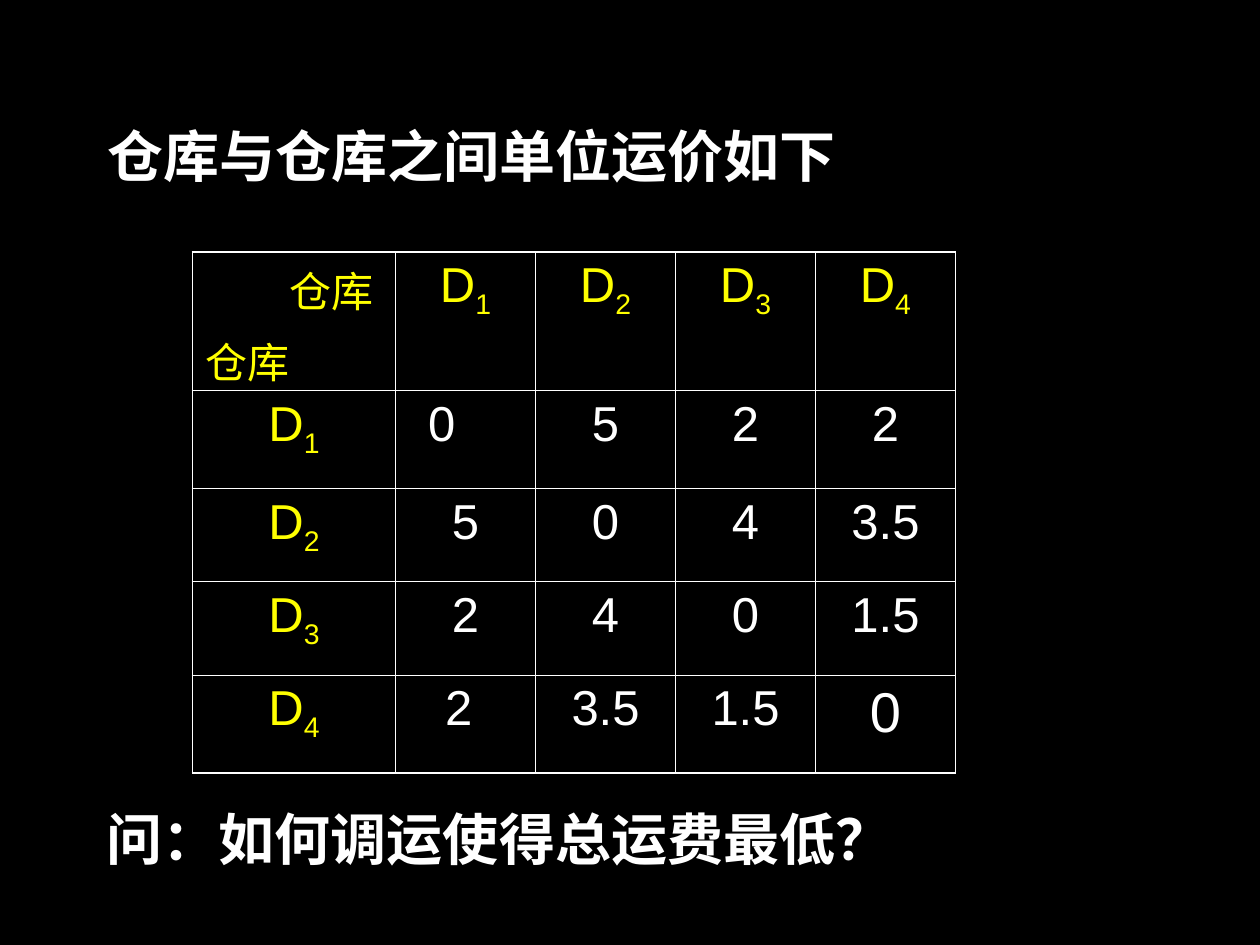
from lxml import etree
from pptx import Presentation
from pptx.dml.color import RGBColor
from pptx.enum.text import MSO_ANCHOR, MSO_AUTO_SIZE, PP_ALIGN
from pptx.oxml.ns import qn
from pptx.util import Pt

TOP = MSO_ANCHOR.TOP
FIXED = MSO_AUTO_SIZE.NONE
LEFT, CENTER, RIGHT = PP_ALIGN.LEFT, PP_ALIGN.CENTER, PP_ALIGN.RIGHT

HUES = {"back": "000000", "text": "FFFFFF", "head": "FFFF00", "line": "FFFFFF"}
THIN, THICK = 0.45, 1.08
COLS = [116, 80, 80, 80, 80]
ROWS = [71, 56, 53.25, 53.25, 56]
DEPOTS = ["1", "2", "3", "4"]
COSTS = [
    ["0", "5", "2", "2"],
    ["5", "0", "4", "3.5"],
    ["2", "4", "0", "1.5"],
    ["2", "3.5", "1.5", "0"],
]
INSETS = {(1, 1): 34.5, (4, 1): 15}
SIZES = {(4, 4): 32}


class Deck:
    def __init__(self, prs):
        self.slide = prs.slides.add_slide(prs.slide_layouts[5])
        fill = self.slide.background.fill
        fill.solid()
        fill.fore_color.rgb = RGBColor.from_string(HUES["back"])

    def style(self, para, size, hue, align, face="Arial", bold=False):
        para.alignment = align
        font = para.font
        font.name, font.size, font.bold = face, Pt(size), bold
        font.color.rgb = RGBColor.from_string(HUES[hue])

    def line(self, shape, text, top):
        shape.left, shape.top = Pt(54), Pt(top)
        shape.width, shape.height = Pt(552), Pt(46)
        frame = shape.text_frame
        frame.word_wrap = True
        frame.auto_size = FIXED
        frame.vertical_anchor = TOP
        frame.text = text
        self.style(frame.paragraphs[0], 32, "text", LEFT, bold=True)

    def title(self, text, top):
        self.line(self.slide.shapes.title, text, top)

    def note(self, text, top):
        box = self.slide.shapes.add_textbox(Pt(54), Pt(top), Pt(552), Pt(46))
        self.line(box, text, top)

    def grid(self, left, top):
        shape = self.slide.shapes.add_table(
            len(ROWS), len(COLS), Pt(left), Pt(top), Pt(sum(COLS)), Pt(sum(ROWS)))
        table = shape.table
        table.first_row = table.horz_banding = False
        for col, width in zip(table.columns, COLS):
            col.width = Pt(width)
        for row, height in zip(table.rows, ROWS):
            row.height = Pt(height)
        for r in range(len(ROWS)):
            for c in range(len(COLS)):
                cell = table.cell(r, c)
                self.edges(cell, r, c)
                cell.fill.background()
        return table

    def edges(self, cell, r, c):
        outer = {"lnL": c == 0, "lnR": c == len(COLS) - 1,
                 "lnT": r == 0, "lnB": r == len(ROWS) - 1}
        props = cell._tc.get_or_add_tcPr()
        for tag, edge in outer.items():
            width = Pt(THICK if edge else THIN)
            line = etree.SubElement(props, qn("a:" + tag), w=str(int(width)))
            fill = etree.SubElement(line, qn("a:solidFill"))
            etree.SubElement(fill, qn("a:srgbClr"), val=HUES["line"])

    def corner(self, cell, across, down):
        cell.margin_right, cell.margin_bottom = Pt(12.5), Pt(0)
        frame = cell.text_frame
        frame.text = across
        self.style(frame.paragraphs[0], 24, "head", RIGHT, "Times New Roman")
        para = frame.add_paragraph()
        para.text = down
        para.space_before = Pt(6)
        self.style(para, 24, "head", LEFT, "Times New Roman")

    def depot(self, cell, index):
        para = cell.text_frame.paragraphs[0]
        para.add_run().text = "D"
        sub = para.add_run()
        sub.text = index
        sub._r.get_or_add_rPr().set("baseline", "-25000")
        self.style(para, 28, "head", CENTER)

    def cost(self, cell, text, size, inset):
        cell.margin_right = Pt(inset)
        cell.text_frame.text = text
        self.style(cell.text_frame.paragraphs[0], size, "text", CENTER)


def main():
    prs = Presentation()
    prs.slide_width, prs.slide_height = Pt(720), Pt(540)
    deck = Deck(prs)
    deck.title("仓库与仓库之间单位运价如下", 66)
    table = deck.grid(110, 144)
    deck.corner(table.cell(0, 0), "仓库", "仓库")
    for i, index in enumerate(DEPOTS, 1):
        deck.depot(table.cell(0, i), index)
        deck.depot(table.cell(i, 0), index)
    for r, row in enumerate(COSTS, 1):
        for c, text in enumerate(row, 1):
            spot = (r, c)
            deck.cost(table.cell(r, c), text,
                      SIZES.get(spot, 28), INSETS.get(spot, 7.2))
    deck.note("问：如何调运使得总运费最低？", 456)
    prs.save("out.pptx")


if __name__ == "__main__":
    main()
